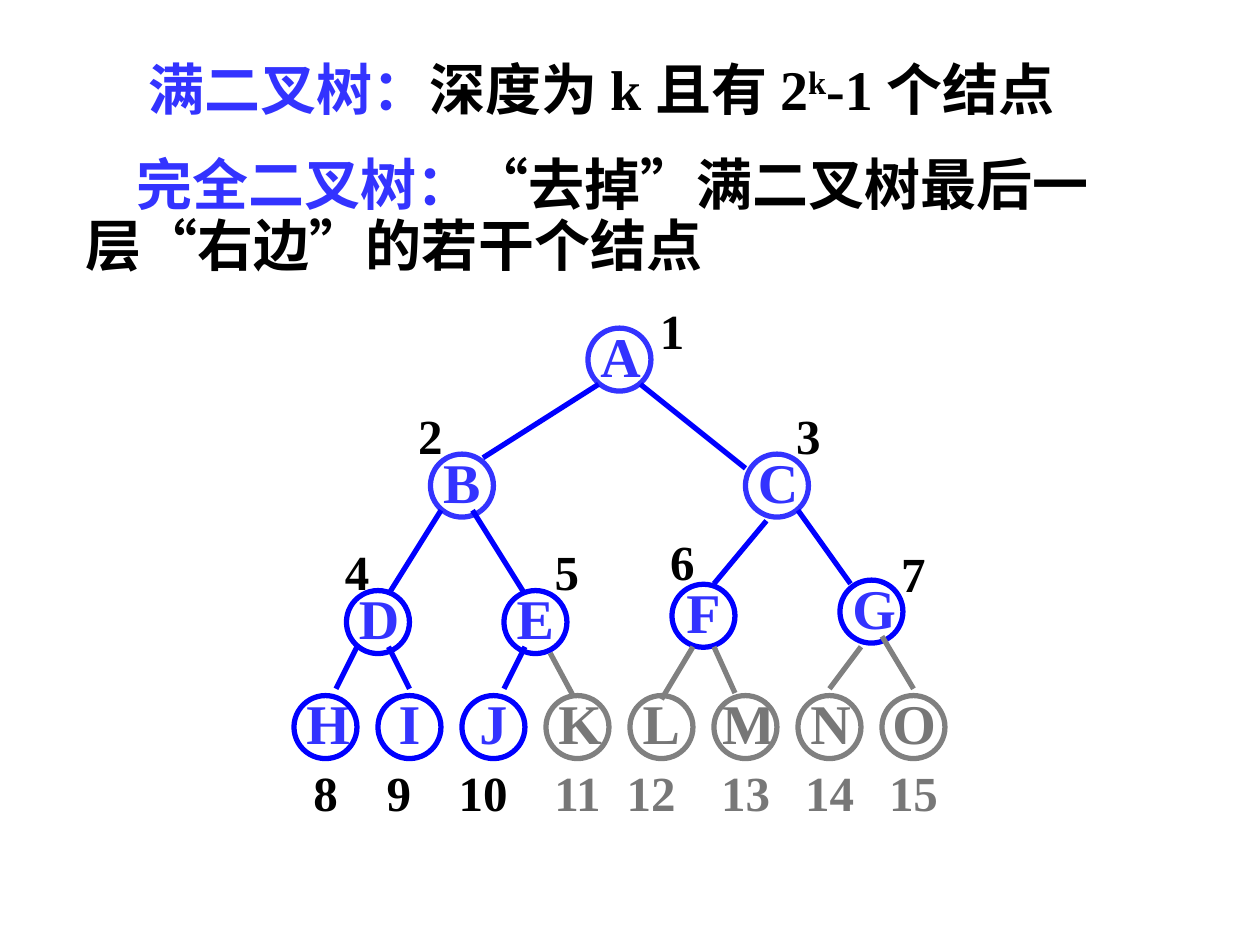
"""Slide defining full and complete binary trees, with a numbered 15-node tree."""
from lxml.etree import SubElement
from pptx import Presentation
from pptx.dml.color import RGBColor
from pptx.enum.shapes import MSO_CONNECTOR, MSO_SHAPE
from pptx.enum.text import MSO_AUTO_SIZE, PP_ALIGN
from pptx.oxml.ns import qn
from pptx.util import Inches, Pt

BLACK = RGBColor(0x00, 0x00, 0x00)
INDIGO = RGBColor(0x33, 0x33, 0xFF)
BLUE = RGBColor(0x00, 0x00, 0xFF)
GRAY = RGBColor(0x80, 0x80, 0x80)
DARK_GRAY = RGBColor(0x77, 0x77, 0x77)
FONT = "Times New Roman"
COLUMNS = 120

deck = Presentation()
deck.slide_width, deck.slide_height = Inches(10), Inches(7.5)
slide = deck.slides.add_slide(deck.slide_layouts[6])
cell = deck.slide_width / COLUMNS


def grid(*counts):
    return [round(count * cell) for count in counts]


def add_label(text, left, top, width, height, size, color):
    label = slide.shapes.add_textbox(*grid(left, top, width, height)).text_frame
    label.word_wrap = True
    label.auto_size = MSO_AUTO_SIZE.SHAPE_TO_FIT_TEXT
    paragraph = label.paragraphs[0]
    paragraph.text = text
    paragraph.alignment = PP_ALIGN.CENTER
    paragraph.font.name, paragraph.font.size = FONT, Pt(size)
    paragraph.font.bold = True
    paragraph.font.color.rgb = color


definitions = [
    (0.5, 1.1, [("满二叉树：", INDIGO, 0), ("深度为 k 且有 2", BLACK, 0),
                ("k", BLACK, 30000), ("-1 个结点", BLACK, 0)]),
    (0.4, 0.9, [("完全二叉树：", INDIGO, 0),
                ("“去掉”满二叉树最后一层“右边”的若干个结点", BLACK, 0)]),
]
heading = slide.shapes.add_textbox(*grid(7, 4, 107, 23.2)).text_frame
heading.word_wrap = True
heading.auto_size = MSO_AUTO_SIZE.SHAPE_TO_FIT_TEXT
for index, (indent, spacing, parts) in enumerate(definitions):
    paragraph = heading.add_paragraph() if index else heading.paragraphs[0]
    paragraph.line_spacing = spacing
    if index:
        paragraph.space_before = Pt(20)
    paragraph.font.name, paragraph.font.size = FONT, Pt(32)
    paragraph.font.bold = True
    paragraph._p.get_or_add_pPr().set("indent", str(Inches(indent)))
    for text, color, baseline in parts:
        run = paragraph.add_run()
        run.text = text
        run.font.color.rgb = color
        if baseline:
            run._r.get_or_add_rPr().set("baseline", str(baseline))

node_places = [
    (56, 30), (41, 42), (71, 42), (33, 55), (48, 55), (64, 54.4), (80, 54),
] + [(28 + 8 * leaf, 65) for leaf in range(8)]
letter_shifts = {"M": -0.4, "O": -0.2}
for number, (letter, (left, top)) in enumerate(zip("ABCDEFGHIJKLMNO", node_places), 1):
    removed = number > 10
    add_label(letter, left + letter_shifts.get(letter, 0), top, 6, 7.7, 32,
              DARK_GRAY if removed else INDIGO)
    ring = slide.shapes.add_shape(MSO_SHAPE.OVAL, *grid(left, top + 1.25, 6, 6))
    ring.shadow.inherit = False
    ring.fill.background()
    ring.line.width = Pt(3)
    ring.line.color.rgb = GRAY if removed else INDIGO if number < 4 else BLUE

branches = [
    (57, 36.6, 46, 43.6), (61, 36.6, 71, 44.6),
    (42, 48.6, 37, 56.6), (45, 48.6, 50, 56.6),
    (73, 49.6, 68, 55.6), (76, 48.6, 81, 55.6),
    (34, 61.6, 32, 65.6), (37, 61.6, 39, 65.6),
    (50, 61.6, 48, 65.6), (52.4, 62.2, 54.5, 66.1),
    (66, 61.6, 63, 66.6), (68, 61.6, 70, 66),
    (82, 61.6, 79, 65.6), (84, 60.6, 87, 65.6),
]
for child, ends in enumerate(branches, 2):
    branch = slide.shapes.add_connector(MSO_CONNECTOR.STRAIGHT, *grid(*ends))
    branch.line.width = Pt(3)
    branch.line.color.rgb = GRAY if child > 10 else BLUE
    SubElement(branch._element.spPr, qn("a:effectLst"))

number_places = [
    (61, 28), (38, 38), (74, 38), (31, 51), (51, 51), (62, 50), (84, 51.2),
] + [(left, 72) for left in (28, 35, 42, 51, 58, 67, 75, 83)]
for number, (left, top) in enumerate(number_places, 1):
    add_label(str(number), left, top, 8 if number > 9 else 6, 6.8, 28,
              DARK_GRAY if number > 10 else BLACK)

deck.save("out.pptx")
